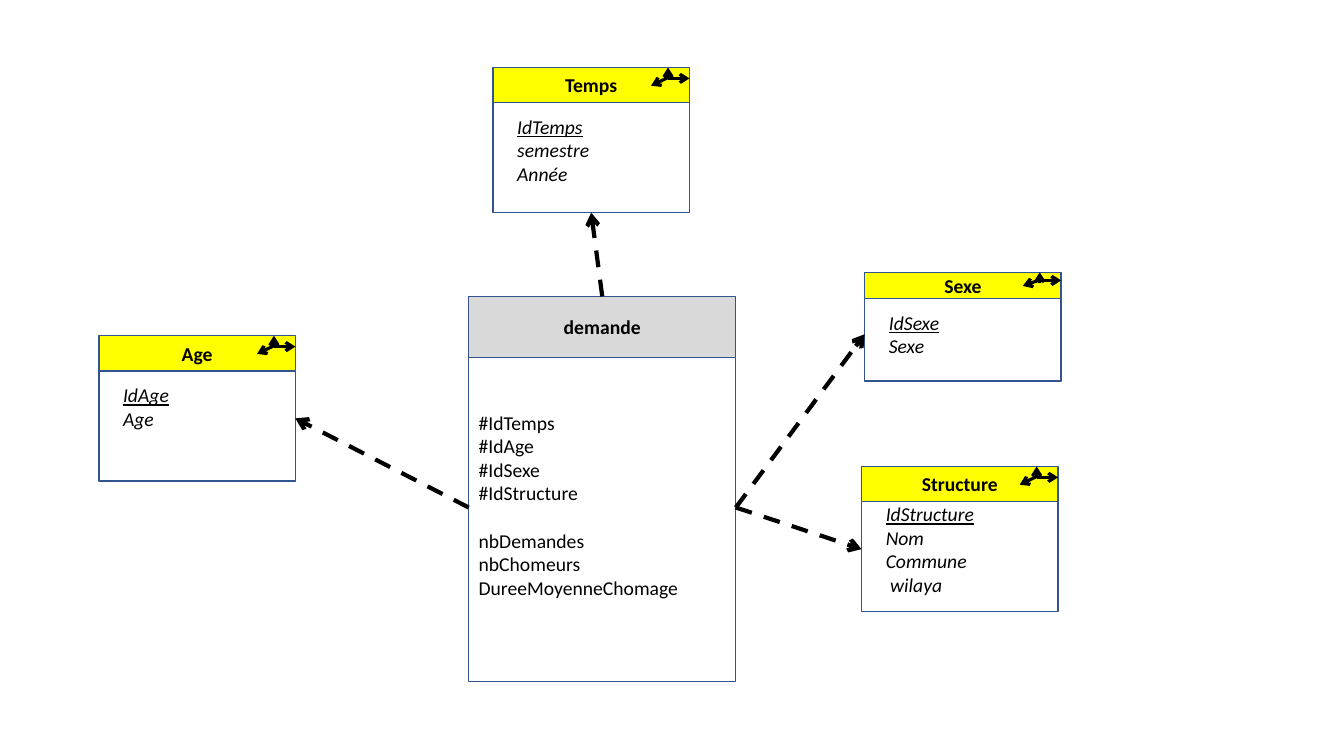
from dataclasses import dataclass

from lxml import etree
from pptx import Presentation
from pptx.dml.color import RGBColor
from pptx.enum import dml, shapes, text
from pptx.oxml import ns
from pptx.util import Pt


@dataclass(frozen=True)
class Theme:
    font: str = "Calibri"
    size: float = 14
    ink: str = "000000"
    paper: str = "FFFFFF"
    border: str = "325491"
    fact_head: str = "D9D9D9"
    dimension_head: str = "FFFF00"


TOP, LEFT, BOTTOM, RIGHT = range(4)
DIMENSION_WIDTH = 140.4
ROW_HEIGHT = 17


class StarSchema:
    def __init__(self, slide, theme):
        self.slide = slide
        self.theme = theme

    def box(self, parent, x, y, width, height, fill, insets=(7.2, 3.6, 7.2, 3.6)):
        rect = parent.shapes.add_shape(
            shapes.MSO_SHAPE.RECTANGLE, Pt(x), Pt(y), Pt(width), Pt(height))
        rect.shadow.inherit = False
        rect.fill.solid()
        rect.fill.fore_color.rgb = RGBColor.from_string(fill)
        rect.line.color.rgb = RGBColor.from_string(self.theme.border)
        rect.line.width = Pt(1)
        frame = rect.text_frame
        frame.word_wrap = True
        frame.vertical_anchor = text.MSO_ANCHOR.MIDDLE
        (frame.margin_left, frame.margin_top,
         frame.margin_right, frame.margin_bottom) = map(Pt, insets)
        return rect

    def add_lines(self, rect, lines, align=text.PP_ALIGN.LEFT, gap_before=None,
                  key=None, bold=False, italic=False):
        frame = rect.text_frame
        for index, line in enumerate(lines):
            paragraph = frame.add_paragraph() if index else frame.paragraphs[0]
            paragraph.alignment = align
            if line == gap_before:
                paragraph.space_before = Pt(ROW_HEIGHT)
            run = paragraph.add_run()
            run.text = line
            font = run.font
            font.name, font.size = self.theme.font, Pt(self.theme.size)
            font.color.rgb = RGBColor.from_string(self.theme.ink)
            font.bold, font.italic = bold, italic
            font.underline = line == key

    def heading(self, parent, name, x, y, width, height, fill):
        head = self.box(parent, x, y, width, height, fill)
        self.add_lines(head, [name], text.PP_ALIGN.CENTER, bold=True)
        return head

    def arrow(self, parent, start, end, width, dashed=False):
        line = parent.shapes.add_connector(
            shapes.MSO_CONNECTOR.STRAIGHT, *map(Pt, (*start, *end)))
        line.line.color.rgb = RGBColor.from_string(self.theme.ink)
        line.line.width = Pt(width)
        if dashed:
            line.line.dash_style = dml.MSO_LINE.DASH
        properties = line._element.spPr
        etree.SubElement(properties.find(ns.qn("a:ln")), ns.qn("a:tailEnd"), type="arrow")
        etree.SubElement(properties, ns.qn("a:effectLst"))
        return line

    def fact(self, name, attributes, gap_before, x, y, width):
        group = self.slide.shapes.add_group_shape()
        body = self.box(group, x, y + 26.6, width, 248.4, self.theme.paper,
                        (7.2, 0, 7.2, 3.6))
        self.add_lines(body, attributes, gap_before=gap_before)
        head = self.heading(group, name, x, y, width, 43.9, self.theme.fact_head)
        return head, body

    def dimension(self, name, attributes, x, y, scale=1, blank_rows=0):
        group = self.slide.shapes.add_group_shape()
        body = self.box(group, x, y + 14.4 * scale, DIMENSION_WIDTH, 89.3 * scale,
                        self.theme.paper,
                        (17.3, 3.6, 7.2, 3.6 + blank_rows * ROW_HEIGHT))
        self.add_lines(body, attributes, key=attributes[0], italic=True)
        self.heading(group, name, x, y, DIMENSION_WIDTH, 25.2 * scale,
                     self.theme.dimension_head)
        # Three-axis icon in the heading corner
        axis_x, axis_y = x + 125.1, y + 7.2 * scale
        level_y = y + 7.8 * scale
        for start, end in (
            ((axis_x, level_y), (x + DIMENSION_WIDTH, level_y)),
            ((axis_x, axis_y), (axis_x, y)),
            ((axis_x, axis_y), (x + 113, y + 13 * scale)),
        ):
            self.arrow(group, start, end, 2.25)
        return body

    def link(self, source, source_side, target, target_side):
        line = self.arrow(self.slide, (0, 0), (0, 0), 3, dashed=True)
        line.begin_connect(source, source_side)
        line.end_connect(target, target_side)


def main():
    deck = Presentation()
    deck.slide_width, deck.slide_height = Pt(960), Pt(540)
    schema = StarSchema(deck.slides.add_slide(deck.slide_layouts[6]), Theme())

    # Fact table
    demande_head, demande = schema.fact(
        "demande",
        ["#IdTemps", "#IdAge", "#IdSexe", "#IdStructure",
         "nbDemandes", "nbChomeurs", "DureeMoyenneChomage"],
        "nbDemandes", 334.8, 211.7, 190.8)

    # Dimensions
    temps = schema.dimension("Temps", ["IdTemps", "semestre", "Année"], 352.1, 48.2)
    age = schema.dimension("Age", ["IdAge", "Age"], 70.6, 239.8, blank_rows=1)
    sexe = schema.dimension("Sexe", ["IdSexe", "Sexe"], 617.6, 194.5, scale=0.75)
    structure = schema.dimension(
        "Structure", ["IdStructure", "Nom", "Commune", " wilaya"], 615.4, 333.2)

    # Links from the fact table to its dimensions
    schema.link(demande_head, TOP, temps, BOTTOM)
    schema.link(demande, LEFT, age, RIGHT)
    schema.link(demande, RIGHT, sexe, LEFT)
    schema.link(demande, RIGHT, structure, LEFT)

    deck.save("out.pptx")


if __name__ == "__main__":
    main()
